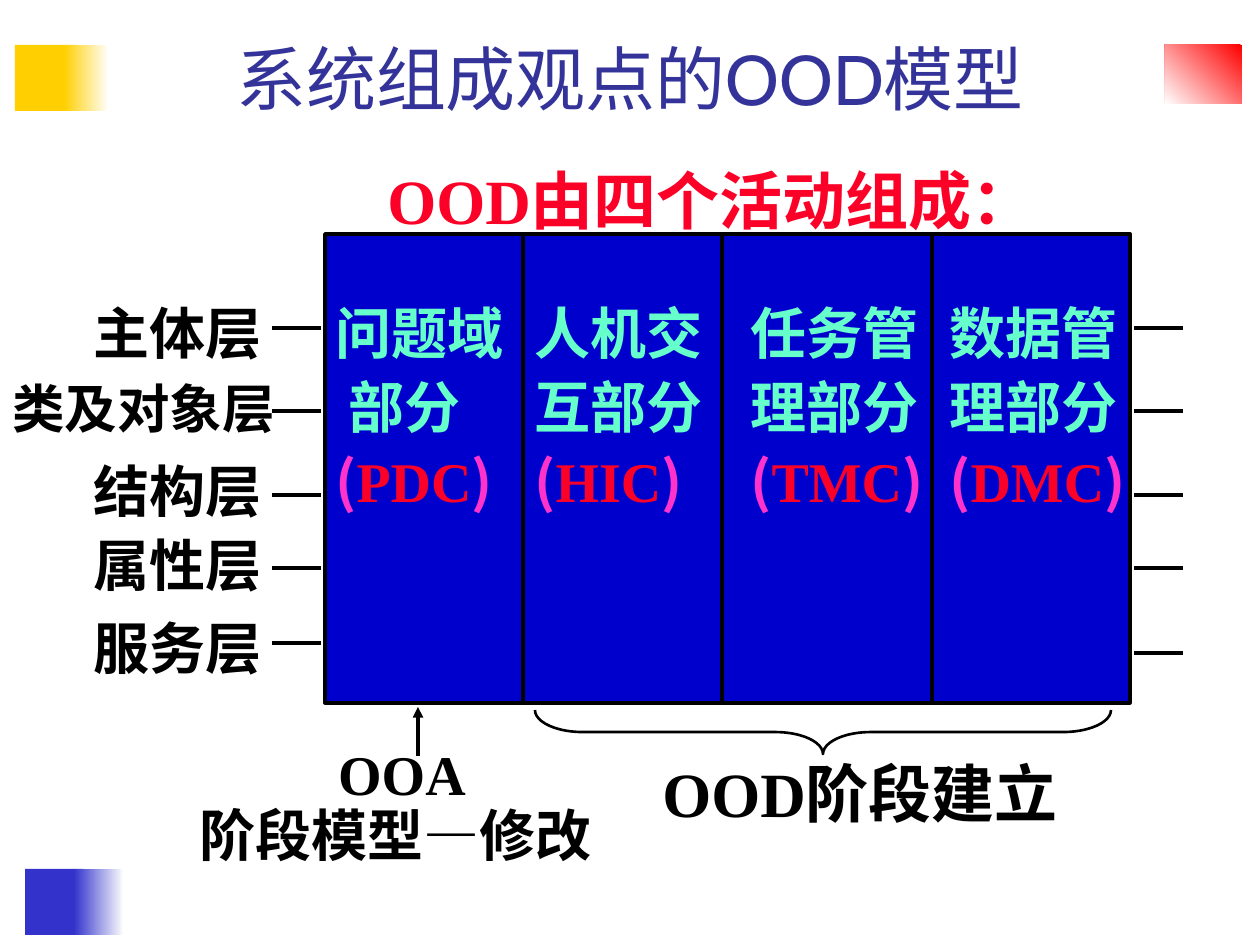
import pptx
import pptx.util
from lxml import etree
from pptx.dml.color import RGBColor
from pptx.enum.shapes import MSO_CONNECTOR, MSO_SHAPE
from pptx.enum.text import MSO_ANCHOR, MSO_AUTO_SIZE, PP_ALIGN
from pptx.oxml.ns import qn

PX = 914400 / 126
THEME = {
    "black": "000000", "white": "FFFFFF", "title": "333399", "panel": "0000CC",
    "mint": "66FFCC", "pink": "FF33CC", "red": "FC0128",
    "yellow": "FFCF01", "blue": "3333CC", "corner": "FF0000",
    "cjk": "Noto Sans CJK SC", "roman": "Times New Roman", "heading": "Cabin",
    "title_size": 40, "large": 36, "body": 32, "small": 30,
    "line": 2, "brace_line": 1.5,
}

# Each ornament: box, first colour, second colour, angle
ORNAMENTS = [
    ((15, 45, 60, 66), "yellow", None, 0),
    ((64, 45, 45, 66), "white", "yellow", 180),
    ((25, 869, 58, 66), "blue", None, 0),
    ((74, 869, 50, 66), "white", "blue", 180),
    ((1165, 45, 77, 59), "corner", "white", 225),
]
PANEL = (325, 234, 805, 469)
DIVIDERS = [523, 722, 932]
# Each layer: name, label box, size, left tick y, right tick y
LAYERS = [
    ("主体层", (81, 286, 193, 86), "body", 328, 328),
    ("类及对象层", (0, 363, 292, 82), "small", 411, 411),
    ("结构层", (81, 444, 193, 86), "body", 495, 495),
    ("属性层", (81, 518, 193, 86), "body", 568, 568),
    ("服务层", (81, 601, 193, 86), "body", 643, 653),
]
TICK_LEFT, TICK_RIGHT, TICK_LENGTH = 272, 1134, 49
# Each activity: two lines of name, abbreviation, left, width
ACTIVITIES = [
    ("问题域", " 部分", "PDC", 323, 193),
    ("人机交", "互部分", "HIC", 522, 193),
    ("任务管", "理部分", "TMC", 738, 198),
    ("数据管", "理部分", "DMC", 937, 202),
]

prs = pptx.Presentation()
prs.slide_width, prs.slide_height = pptx.util.Inches(10), pptx.util.Inches(7.5)
slide = prs.slides.add_slide(prs.slide_layouts[6])


def emu(*lengths):
    return [round(length * PX) for length in lengths]


def colour(name):
    return RGBColor.from_string(THEME[name])


def add_panel(box, fill, second=None, angle=0, outline=None, kind=MSO_SHAPE.RECTANGLE):
    shape = slide.shapes.add_shape(kind, *emu(*box))
    shape.shadow.inherit = False
    if second:
        shape.fill.gradient()
        shape.fill.gradient_angle = angle
        for stop, name, position in zip(shape.fill.gradient_stops, (fill, second), (0, 1)):
            stop.color.rgb, stop.position = colour(name), position
    elif fill:
        shape.fill.solid()
        shape.fill.fore_color.rgb = colour(fill)
    else:
        shape.fill.background()
    if outline:
        shape.line.color.rgb = colour("black")
        shape.line.width = pptx.util.Pt(THEME[outline])
    else:
        shape.line.fill.background()
    return shape


def add_line(x1, y1, x2, y2):
    line = slide.shapes.add_connector(MSO_CONNECTOR.STRAIGHT, *emu(x1, y1, x2, y2))
    line.line.color.rgb = colour("black")
    line.line.width = pptx.util.Pt(THEME["line"])
    etree.SubElement(line._element.spPr, qn("a:effectLst"))
    return line


def add_text(box, lines, size, spacing=1.1, wrap=False, bold=True, aligns=(), **frame_format):
    """Add lines of (text, font, colour) runs; aligns gives each line's alignment."""
    textbox = slide.shapes.add_textbox(*emu(*box))
    frame = textbox.text_frame
    settings = {"word_wrap": wrap, "auto_size": MSO_AUTO_SIZE.SHAPE_TO_FIT_TEXT, **frame_format}
    for key, value in settings.items():
        setattr(frame, key, value)
    for i, runs in enumerate(lines):
        paragraph = frame.add_paragraph() if i else frame.paragraphs[0]
        paragraph.line_spacing = spacing
        paragraph.alignment = aligns[i] if aligns else PP_ALIGN.LEFT
        for text, font, tint in runs:
            run = paragraph.add_run()
            run.text = text
            values = {"size": pptx.util.Pt(THEME[size]), "bold": bold, "name": THEME[font]}
            for key, value in values.items():
                setattr(run.font, key, value)
            run.font.color.rgb = colour(tint)
            east_asian = etree.Element(qn("a:ea"), typeface=THEME["cjk"])
            run.font._element.find(qn("a:latin")).addnext(east_asian)


for box, first, second, angle in ORNAMENTS:
    add_panel(box, first, second, angle)
add_text((0, 26, 1260, 100), [[("系统组成观点的OOD模型", "heading", "title")]], "title_size",
         spacing=1.0, wrap=True, bold=False, aligns=[PP_ALIGN.CENTER],
         auto_size=MSO_AUTO_SIZE.NONE, vertical_anchor=MSO_ANCHOR.BOTTOM)

add_panel(PANEL, "panel", outline="line")
for x in DIVIDERS:
    add_line(x, PANEL[1], x, PANEL[1] + PANEL[3])

for name, box, size, left_y, right_y in LAYERS:
    add_text(box, [[(name, "cjk", "black")]], size, wrap=size == "small")
    for x, y in ((TICK_LEFT, left_y), (TICK_RIGHT, right_y)):
        add_line(x, y, x + TICK_LENGTH, y)

for first, second, abbreviation, left, width in ACTIVITIES:
    add_text((left, 286, width, 234), [
        [(first, "cjk", "mint")],
        [(second, "cjk", "mint")],
        [("(", "cjk", "pink"), (abbreviation, "roman", "red"), (")", "cjk", "pink")],
    ], "body")

add_text((375, 155, 688, 88),
         [[("OOD", "roman", "red"), ("由四个活动组成：", "cjk", "red")]], "large", spacing=1.0)
add_text((650, 741, 436, 96),
         [[("OOD", "roman", "black"), ("阶段建立", "cjk", "black")]], "large")
add_text((174, 741, 456, 134),
         [[("OOA", "roman", "black")], [(" 阶段模型—修改", "cjk", "black")]], "body",
         spacing=0.9, wrap=True, aligns=[PP_ALIGN.CENTER, PP_ALIGN.LEFT])

analysis_arrow = add_line(418, 707, 418, 756)
etree.SubElement(analysis_arrow.line._get_or_add_ln(), qn("a:headEnd"), type="triangle")

design_brace = add_panel((801, 444, 44, 576), None, outline="brace_line",
                         kind=MSO_SHAPE.LEFT_BRACE)
design_brace.rotation = 270
design_brace.adjustments[0] = 1.09
design_brace.adjustments[1] = 0.5

prs.save("out.pptx")
